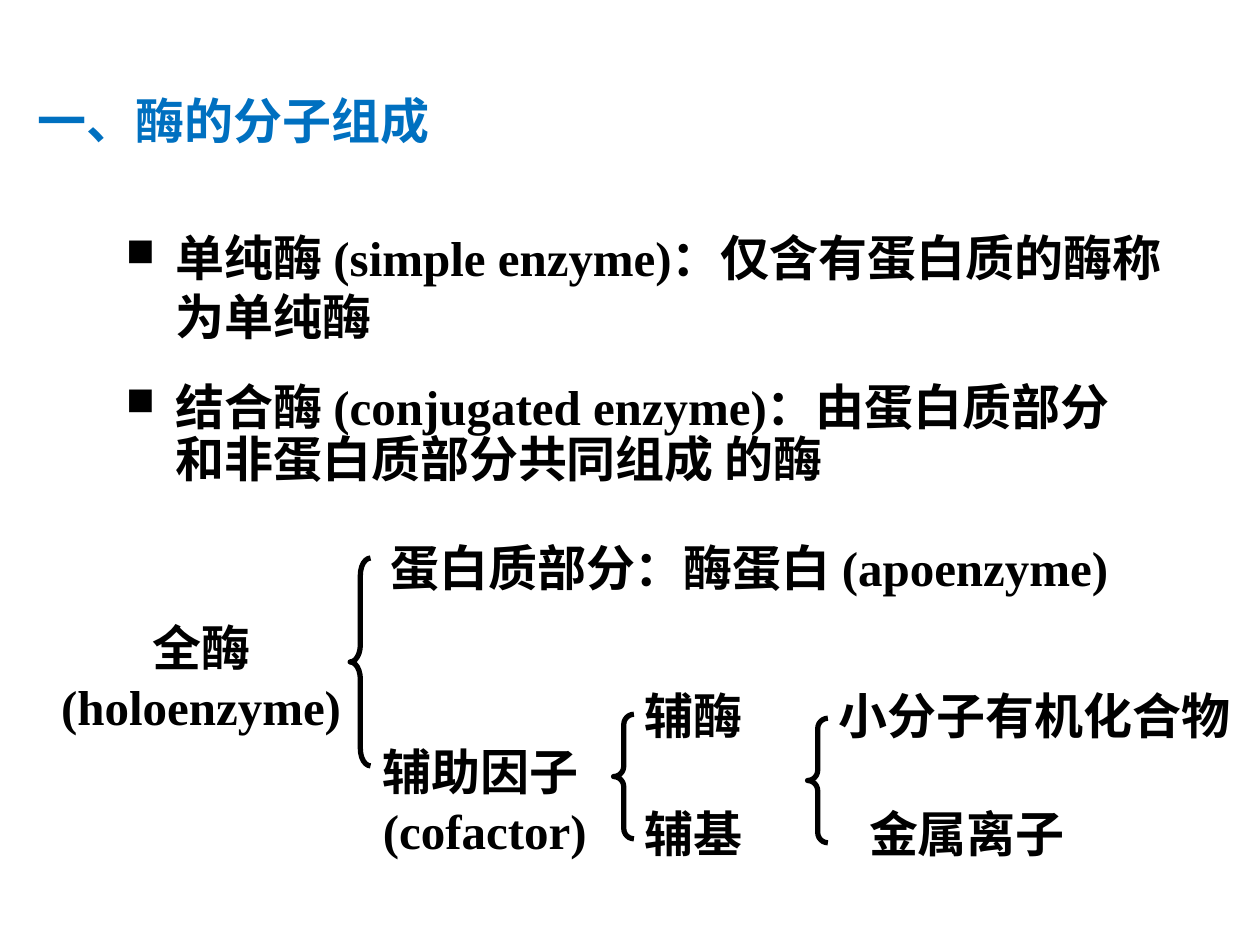
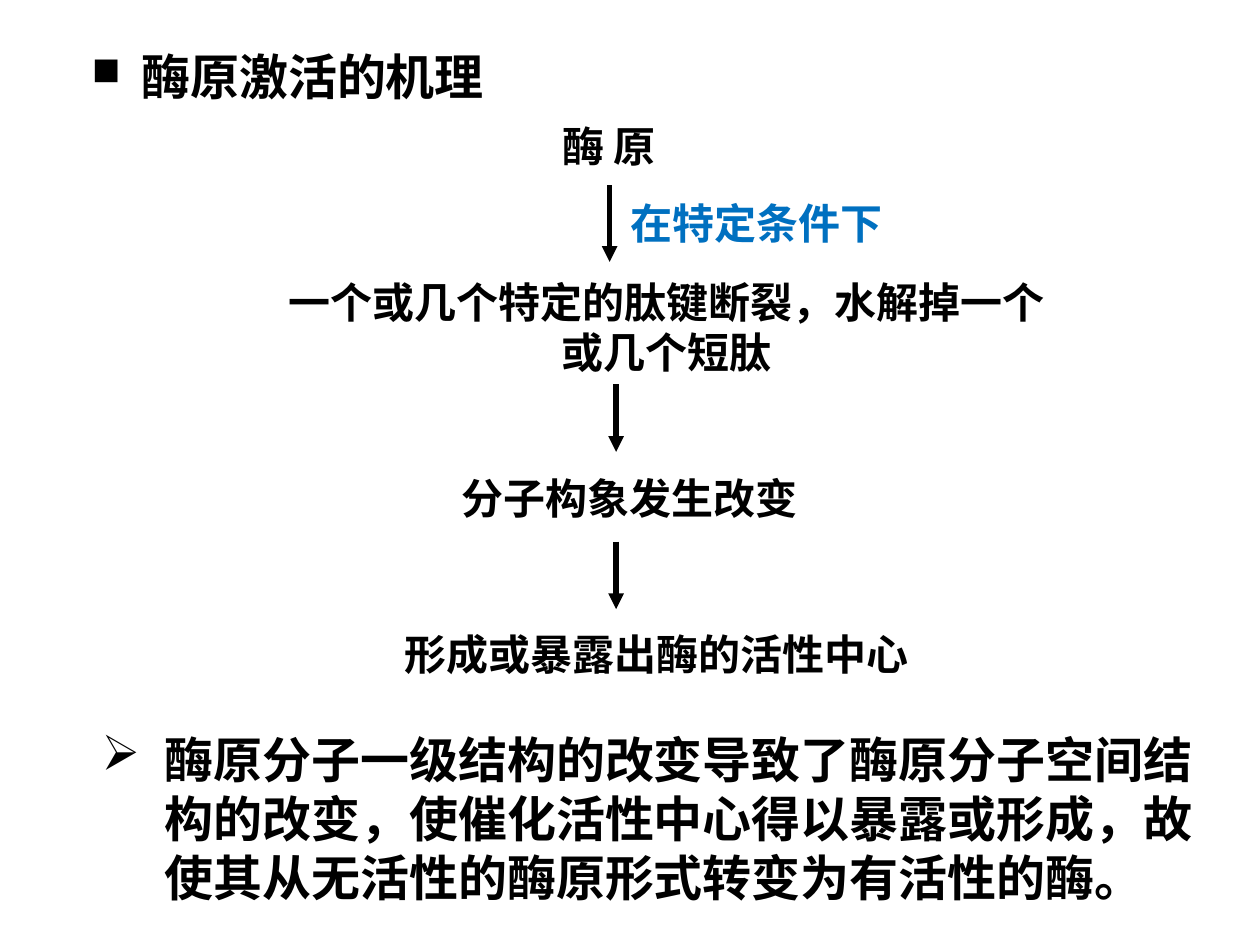
from dataclasses import dataclass

from lxml import etree
from pptx import Presentation
from pptx.dml.color import RGBColor
from pptx.enum.shapes import MSO_CONNECTOR, MSO_SHAPE
from pptx.enum.text import MSO_ANCHOR, PP_ALIGN
from pptx.oxml.ns import qn
from pptx.util import Cm, Pt

LEFT, CENTER = PP_ALIGN.LEFT, PP_ALIGN.CENTER
TOP, MIDDLE = MSO_ANCHOR.TOP, MSO_ANCHOR.MIDDLE
BRACE, STRAIGHT = MSO_SHAPE.LEFT_BRACE, MSO_CONNECTOR.STRAIGHT


@dataclass(frozen=True)
class Theme:
    """Hold the colours, fonts and sizes of all slides."""
    ink: str = "000000"
    blue: str = "0070C0"
    serif: str = "Times New Roman"
    sans: str = "Calibri"
    asian: str = "Noto Sans CJK SC"
    large: int = 28
    small: int = 24
    line: int = 3


THEME = Theme()


def add_bullet(para, char, indent, size):
    """Give a paragraph a hanging bullet."""
    props = para._p.get_or_add_pPr()
    props.set("marL", str(Cm(indent)))
    props.set("indent", str(-Cm(indent)))
    color = etree.SubElement(props, qn("a:buClr"))
    etree.SubElement(color, qn("a:srgbClr"), val=THEME.ink)
    etree.SubElement(props, qn("a:buSzPct"), val=str(size * 1000))
    etree.SubElement(props, qn("a:buChar"), char=char)


def add_text(slide, box, text, size=THEME.large, color=THEME.ink, font=THEME.serif,
             align=LEFT, anchor=TOP, bullet=None, spacing=None):
    """Add bold text, one paragraph to a line, in a box given in centimetres."""
    frame = slide.shapes.add_textbox(*map(Cm, box)).text_frame
    frame.word_wrap = True
    frame.vertical_anchor = anchor
    frame.text = text
    for para in frame.paragraphs:
        if bullet:
            add_bullet(para, *bullet)
        para.alignment = align
        if spacing:
            para.line_spacing = spacing
        for run in para.runs:
            run.font.name = font
            run.font.size = Pt(size)
            run.font.bold = True
            run.font.color.rgb = RGBColor.from_string(color)
            latin = run._r.rPr.find(qn("a:latin"))
            latin.addnext(etree.Element(qn("a:ea"), typeface=THEME.asian))


def set_line(line):
    """Apply the common stroke."""
    line.color.rgb = RGBColor.from_string(THEME.ink)
    line.width = Pt(THEME.line)


def add_brace(slide, left, top, height, width=0.41):
    """Add an open left brace."""
    brace = slide.shapes.add_shape(BRACE, *map(Cm, (left, top, width, height)))
    brace.shadow.inherit = False
    brace.fill.background()
    brace.adjustments[0] = height / 12 / width
    set_line(brace.line)


def add_arrow(slide, left, top, height):
    """Add an arrow that points down."""
    arrow = slide.shapes.add_connector(
        STRAIGHT, *map(Cm, (left, top, left, top + height)))
    set_line(arrow.line)
    etree.SubElement(arrow.line._ln, qn("a:tailEnd"), type="triangle")
    etree.SubElement(arrow._element.spPr, qn("a:effectLst"))


def draw_tree(slide, left, top):
    """Draw the parts of the holoenzyme as a braced tree."""
    labels = [
        ("全酶\n(holoenzyme)", 0, 1.6, 7.29, 2.64, CENTER),
        ("蛋白质部分：酶蛋白 (apoenzyme)", 7.21, 0, 16, 1.45, LEFT),
        ("辅助因子\n(cofactor)", 7.06, 4.11, 6.88, 2.64, LEFT),
        ("辅酶", 12.34, 2.97, 3.5, 1.45, LEFT),
        ("辅基", 12.34, 5.36, 3.5, 1.45, LEFT),
        ("小分子有机化合物", 16.25, 2.97, 8.6, 1.45, LEFT),
        ("金属离子", 16.86, 5.36, 5.33, 1.45, LEFT),
    ]
    for text, x, y, width, height, align in labels:
        add_text(slide, (left + x, top + y, width, height), text, align=align)
    for x, y, height in [(6.65, 0.53, 4.19), (11.96, 3.68, 2.51), (15.87, 3.76, 2.51)]:
        add_brace(slide, left + x, top + y, height)


def draw_flow(slide, left, top, width):
    """Draw the steps of activation, joined by arrows."""
    steps = [
        ("酶 原", 6.97, 0, 4.39),
        ("一个或几个特定的肽键断裂，水解掉一个或几个短肽", 8.12, 3.13, width),
        ("分子构象发生改变", 7.39, 7.09, 8.2),
        ("形成或暴露出酶的活性中心", 7.92, 10.24, 14.68),
    ]
    for text, middle, y, span in steps:
        add_text(slide, (left + middle - span / 2, top + y, span, 1.27), text,
                 THEME.small, align=CENTER)
    add_text(slide, (left + 7.16, top + 1.55, 6.5, 1.27), "在特定条件下",
             THEME.small, THEME.blue)
    for x, y, height in [(6.98, 1.42, 1.55), (7.11, 5.44, 1.36), (7.11, 8.61, 1.36)]:
        add_arrow(slide, left + x, top + y, height)


def make_parts(slide):
    """Build the slide on what enzymes are made of."""
    square = ("■", 1, 80)
    add_text(slide, (0.51, 0.91, 24.41, 3.18), "一、酶的分子组成", color=THEME.blue,
             font=THEME.sans, anchor=MIDDLE, spacing=0.9)
    add_text(slide, (2.29, 4.52, 21.41, 2.51),
             "单纯酶 (simple enzyme)：仅含有蛋白质的酶称为单纯酶",
             anchor=MIDDLE, bullet=square)
    add_text(slide, (2.29, 7.59, 20.9, 2.54),
             "结合酶 (conjugated enzyme)：由蛋白质部分和非蛋白质部分共同组成 的酶",
             bullet=square, spacing=0.9)
    draw_tree(slide, 0.41, 10.72)


def make_steps(slide):
    """Build the slide on how zymogens are activated."""
    add_text(slide, (1.6, 0.76, 13.18, 1.55), "酶原激活的机理",
             anchor=MIDDLE, bullet=("■", 1, 80))
    draw_flow(slide, 5.31, 2.31, 16.23)
    add_text(slide, (1.8, 14.58, 22.86, 4.06),
             "酶原分子一级结构的改变导致了酶原分子空间结构的改变，"
             "使催化活性中心得以暴露或形成，故使其从无活性的酶原形式转变为有活性的酶。",
             font=THEME.asian, bullet=("➢", 1.27, 100))


def main():
    """Build and save the slides."""
    deck = Presentation()
    deck.slide_width, deck.slide_height = Cm(25.4), Cm(19.05)
    for make in (make_parts, make_steps):
        make(deck.slides.add_slide(deck.slide_layouts[6]))
    deck.save("out.pptx")


if __name__ == "__main__":
    main()
